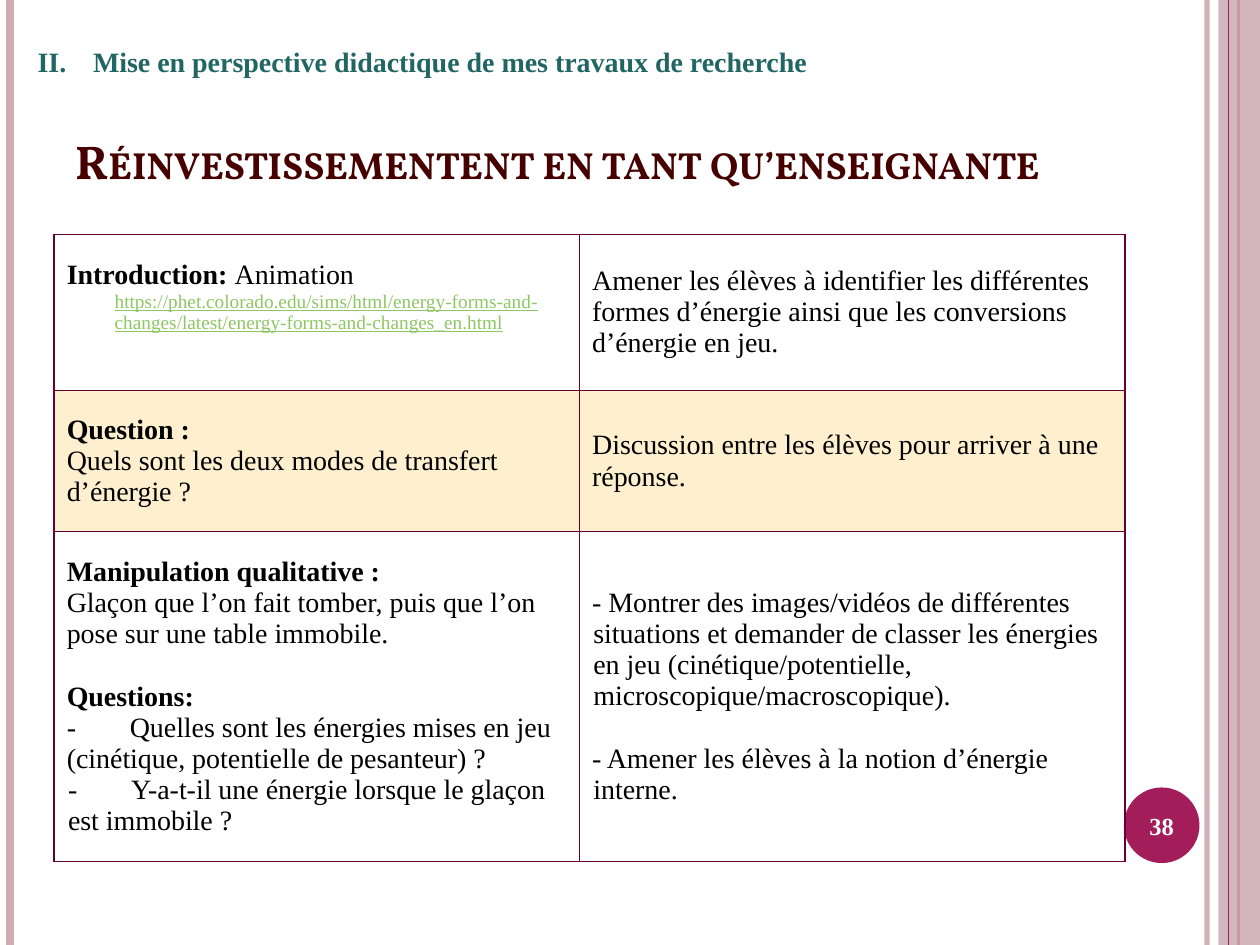
from lxml import etree
from pptx import Presentation
from pptx.dml.color import RGBColor
from pptx.enum.shapes import MSO_CONNECTOR, MSO_SHAPE
from pptx.enum.text import MSO_ANCHOR, PP_ALIGN
from pptx.oxml.ns import qn
from pptx.util import Inches, Pt

STRAIGHT = MSO_CONNECTOR.STRAIGHT
RECTANGLE, OVAL = MSO_SHAPE.RECTANGLE, MSO_SHAPE.OVAL
MIDDLE, BOTTOM = MSO_ANCHOR.MIDDLE, MSO_ANCHOR.BOTTOM
CENTER = PP_ALIGN.CENTER

THEME = {
    "body_font": "Times New Roman", "title_font": "Vollkorn",
    "text": "000000", "title": "460000", "section": "226664", "link": "8DC765",
    "rose": "CEACB5", "accent": "A31D5A", "white": "FFFFFF",
    "border": "660033", "highlight": "FEB80A",
    "body_size": 16, "title_size": 27, "link_size": 11, "number_size": 14,
}

SECTION = "Mise en perspective didactique de mes travaux de recherche"
TITLE = "Réinvestissementent en tant qu’enseignante"
PAGE_NUMBER = "38"
SIMULATION = ("https://phet.colorado.edu/sims/html/energy-forms-and-"
              "changes/latest/energy-forms-and-changes_en.html")

ACTIVITIES = [
    ([{"runs": [("Introduction: ", "bold"), ("Animation", "plain"),
                (SIMULATION, "link")], "left": 0.38, "hang": 0.38}],
     [{"runs": [("Amener les élèves à identifier les différentes formes "
                 "d’énergie ainsi que les conversions d’énergie en jeu.", "plain")]}]),
    ([{"runs": [("Question :", "bold")]},
      {"runs": [("Quels sont les deux modes de transfert d’énergie ?", "plain")]}],
     [{"runs": [("Discussion entre les élèves pour arriver à une réponse.", "plain")]}]),
    ([{"runs": [("Manipulation qualitative :", "bold")]},
      {"runs": [("Glaçon que l’on fait tomber, puis que l’on pose sur une "
                 "table immobile.", "plain")]},
      {"runs": [("Questions:", "bold")], "before": 18},
      {"runs": [("-\tQuelles sont les énergies mises en jeu (cinétique, "
                 "potentielle de pesanteur) ?", "plain")], "tab": 0.24},
      {"runs": [("-\tY-a-t-il une énergie lorsque le glaçon est immobile ?", "plain")],
       "left": 0.01, "tab": 0.25}],
     [{"runs": [("- Montrer des images/vidéos de différentes situations et demander "
                 "de classer les énergies en jeu (cinétique/potentielle, "
                 "microscopique/macroscopique).", "plain")], "left": 0.01, "hang": 0.01},
      {"runs": [("- Amener les élèves à la notion d’énergie interne.", "plain")],
       "left": 0.01, "hang": 0.01, "before": 18}]),
]
COLUMN_WIDTHS = [4.17, 4.33]
ROW_HEIGHTS = [1.24, 1.12, 2.62]
HIGHLIGHTED_ROW = 1
LINK_CELL_BOTTOM = 0.3


def color(name):
    return RGBColor.from_string(THEME[name])


def set_alpha(properties, percent):
    for tint in properties.iter(qn("a:srgbClr")):
        etree.SubElement(tint, qn("a:alpha"), val=str(percent * 1000))


def set_font(font, size, tint, face="body_font", bold=None):
    font.name, font.size, font.bold = THEME[face], Pt(THEME[size]), bold
    font.color.rgb = color(tint)


def set_indent(paragraph, left, hang):
    properties = paragraph._p.get_or_add_pPr()
    properties.set("marL", str(Inches(left)))
    properties.set("indent", str(-Inches(hang)))
    return properties


def add_stripe(shapes, x, tint, width, alpha=100):
    stripe = shapes.add_connector(STRAIGHT, Inches(x), 0, Inches(x), Inches(7.5))
    stripe.line.color.rgb, stripe.line.width = color(tint), Pt(width)
    if alpha < 100:
        set_alpha(stripe._element.spPr, alpha)
    etree.SubElement(stripe._element.spPr, qn("a:effectLst"))


def add_plain_shape(shapes, kind, box, tint):
    shape = shapes.add_shape(kind, *map(Inches, box))
    shape.shadow.inherit = False
    shape.fill.solid()
    shape.fill.fore_color.rgb = color(tint)
    shape.line.fill.background()
    return shape


def add_heading(shapes, box, text, anchor):
    frame = shapes.add_textbox(*map(Inches, box)).text_frame
    frame.word_wrap, frame.vertical_anchor = True, anchor
    paragraph = frame.paragraphs[0]
    paragraph.add_run().text = text
    return paragraph


def write_cell(cell, paragraphs):
    cell.vertical_anchor = MIDDLE
    frame = cell.text_frame
    for index, item in enumerate(paragraphs):
        paragraph = frame.add_paragraph() if index else frame.paragraphs[0]
        properties = set_indent(paragraph, item.get("left", 0), item.get("hang", 0))
        if "before" in item:
            paragraph.space_before = Pt(item["before"])
        if "tab" in item:
            tabs = etree.SubElement(properties, qn("a:tabLst"))
            etree.SubElement(tabs, qn("a:tab"), pos=str(Inches(item["tab"])), algn="l")
        set_font(paragraph.font, "body_size", "text")
        for text, style in item["runs"]:
            if style == "link":
                paragraph.add_line_break()
                cell.margin_bottom = Inches(LINK_CELL_BOTTOM)
            run = paragraph.add_run()
            run.text = text
            run.font.bold = style == "bold"
            if style == "link":
                set_font(run.font, "link_size", "link", bold=False)
                run.font.underline = True


def paint_cell(cell, highlighted):
    properties = cell._tc.get_or_add_tcPr()
    for side in ("lnL", "lnR", "lnT", "lnB"):
        border = etree.SubElement(properties, qn(f"a:{side}"), w=str(Pt(1)))
        fill = etree.SubElement(border, qn("a:solidFill"))
        etree.SubElement(fill, qn("a:srgbClr"), val=THEME["border"])
    if highlighted:
        cell.fill.solid()
        cell.fill.fore_color.rgb = color("highlight")
        set_alpha(properties.find(qn("a:solidFill")), 20)
    else:
        cell.fill.background()


def add_activities(shapes):
    table = shapes.add_table(
        len(ROW_HEIGHTS), len(COLUMN_WIDTHS), Inches(0.43), Inches(1.86),
        Inches(sum(COLUMN_WIDTHS)), Inches(sum(ROW_HEIGHTS))).table
    table.first_row = table.horz_banding = False
    for column, width in zip(table.columns, COLUMN_WIDTHS):
        column.width = Inches(width)
    for row_index, (row, height) in enumerate(zip(table.rows, ROW_HEIGHTS)):
        row.height = Inches(height)
        for cell, paragraphs in zip(row.cells, ACTIVITIES[row_index]):
            write_cell(cell, paragraphs)
            paint_cell(cell, row_index == HIGHLIGHTED_ROW)


def main():
    deck = Presentation()
    deck.slide_width, deck.slide_height = Inches(10), Inches(7.5)
    shapes = deck.slides.add_slide(deck.slide_layouts[6]).shapes

    add_stripe(shapes, 9.58, "rose", 3, alpha=93)
    add_stripe(shapes, 0.08, "rose", 4.5)
    add_stripe(shapes, 9.83, "accent", 1.5)
    band = add_plain_shape(shapes, RECTANGLE, (9.67, 0, 0.33, 7.5), "rose")
    set_alpha(band._element.spPr, 87)
    add_stripe(shapes, 9.75, "accent", 0.75)

    badge = add_plain_shape(shapes, OVAL, (8.92, 6.25, 0.6, 0.6), "accent").text_frame
    badge.margin_left = badge.margin_right = 0
    badge.vertical_anchor = MIDDLE
    number = badge.paragraphs[0]
    number.add_run().text = PAGE_NUMBER
    number.alignment = CENTER
    set_font(number.font, "number_size", "white", bold=True)

    title = add_heading(shapes, (0.5, 0.84, 8.17, 0.71), TITLE, BOTTOM)
    set_font(title.font, "title_size", "title", "title_font", True)
    title.runs[0].font._element.set("cap", "small")

    section = add_heading(shapes, (0.2, 0.29, 8.74, 0.4), SECTION, MIDDLE)
    numbering = set_indent(section, 0.44, 0.44)
    etree.SubElement(numbering, qn("a:buAutoNum"), type="romanUcPeriod", startAt="2")
    set_font(section.font, "body_size", "section", bold=True)

    add_activities(shapes)
    deck.save("out.pptx")


if __name__ == "__main__":
    main()
